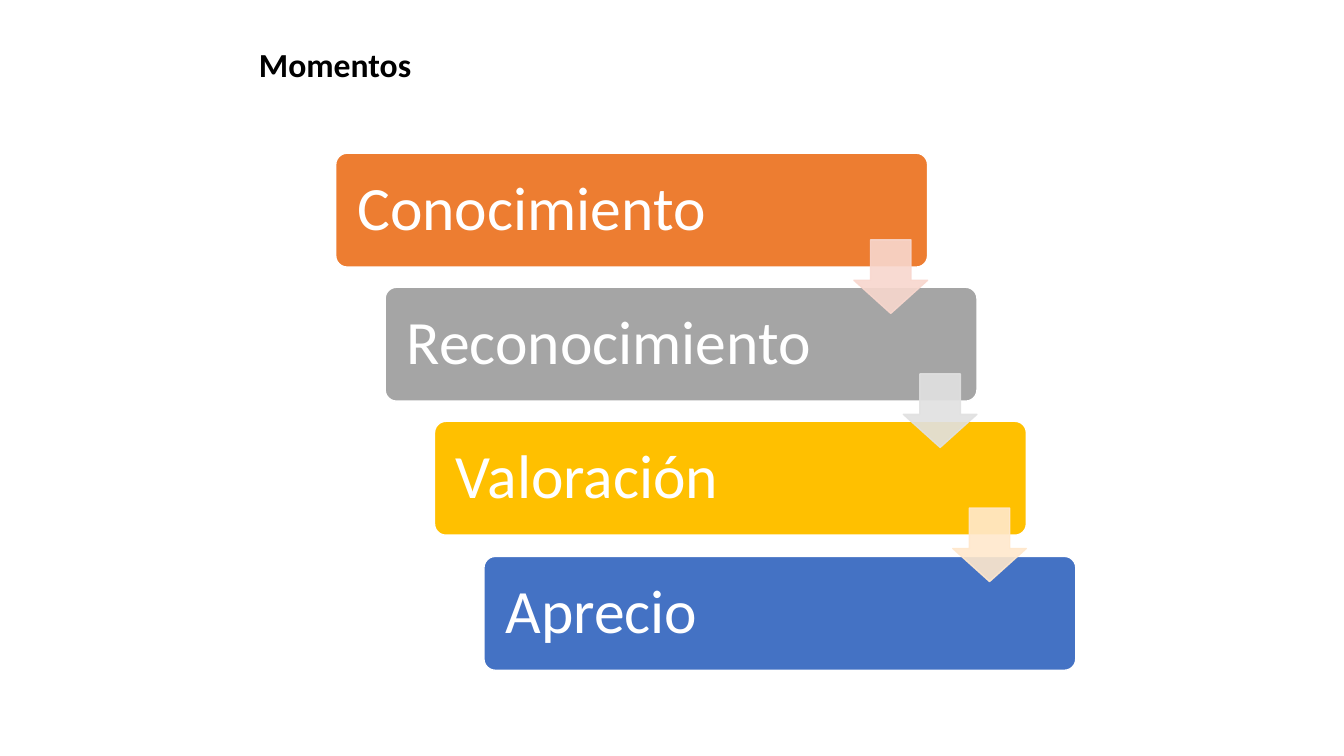
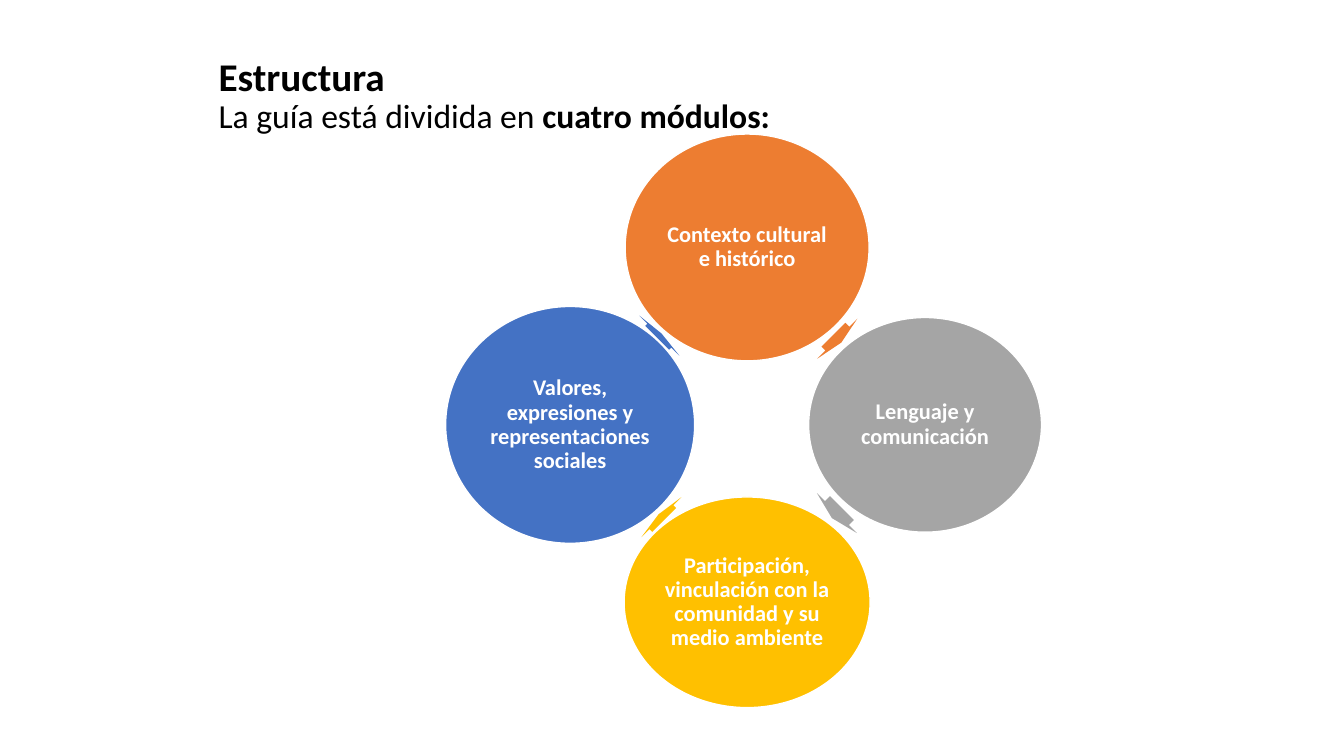
from lxml import etree
from pptx import Presentation
from pptx.dml.color import RGBColor
from pptx.enum.shapes import MSO_SHAPE
from pptx.enum.text import MSO_ANCHOR, PP_ALIGN
from pptx.oxml.ns import qn
from pptx.util import Pt

PX = 9144
FONT = "Calibri"

BLACK = RGBColor(0x00, 0x00, 0x00)
WHITE = RGBColor(0xFF, 0xFF, 0xFF)
ORANGE = RGBColor(0xED, 0x7D, 0x31)
GRAY = RGBColor(0xA5, 0xA5, 0xA5)
GOLD = RGBColor(0xFF, 0xC0, 0x00)
BLUE = RGBColor(0x44, 0x72, 0xC4)
PALE_ORANGE = RGBColor(0xF8, 0xD7, 0xCE)
PALE_GRAY = RGBColor(0xE1, 0xE1, 0xE1)
PALE_GOLD = RGBColor(0xFF, 0xE8, 0xCC)

ROUNDED = MSO_SHAPE.ROUNDED_RECTANGLE
ELLIPSE = MSO_SHAPE.OVAL
DOWN_ARROW = MSO_SHAPE.DOWN_ARROW
RIGHT_ARROW = MSO_SHAPE.RIGHT_ARROW
TOP, MIDDLE, BOTTOM = MSO_ANCHOR.TOP, MSO_ANCHOR.MIDDLE, MSO_ANCHOR.BOTTOM
LEFT, CENTER = PP_ALIGN.LEFT, PP_ALIGN.CENTER

MOMENTS = [
    ("Conocimiento", ORANGE),
    ("Reconocimiento", GRAY),
    ("Valoración", GOLD),
    ("Aprecio", BLUE),
]
STEP_ARROWS = [PALE_ORANGE, PALE_GRAY, PALE_GOLD]

RING_X, RING_Y, RING_RADIUS = 741, 421, 176
MODULES = [
    ("Contexto cultural e histórico", ORANGE, (0, -1), (242, 225), (825, 308, 11)),
    ("Lenguaje y comunicación", GRAY, (1, 0), (231, 213), (823, 481, 14)),
    ("Participación, vinculación con la comunidad y su medio ambiente",
     GOLD, (0, 1), (244, 209), (652, 485, 8)),
    ("Valores, expresiones y representaciones sociales",
     BLUE, (-1, 0), (247, 235), (651, 305, 6)),
]


def box(*lengths):
    return [length * PX for length in lengths]


def add_shape(slide, kind, bounds, color, line=None, adjustments=()):
    sp = slide.shapes.add_shape(kind, *box(*bounds))
    sp.shadow.inherit = False
    sp.fill.solid()
    sp.fill.fore_color.rgb = color
    if line is None:
        sp.line.fill.background()
    else:
        sp.line.color.rgb = line
        sp.line.width = Pt(1)
    for i, value in enumerate(adjustments):
        sp.adjustments[i] = value
    return sp


def set_opacity(sp, percent):
    for color in sp._element.spPr.iter(qn("a:srgbClr")):
        etree.SubElement(color, qn("a:alpha"), val=str(percent * 1000))


def set_label(sp, text, size, bold, align, inset):
    tf = sp.text_frame
    tf.word_wrap = True
    tf.vertical_anchor = MIDDLE
    tf.margin_left = tf.margin_right = inset * PX
    tf.margin_top = tf.margin_bottom = inset * PX
    p = tf.paragraphs[0]
    p.text = text
    p.alignment = align
    p.line_spacing = 0.9
    p.font.name = FONT
    p.font.size = Pt(size)
    p.font.bold = bold
    p.font.color.rgb = WHITE


def add_title(slide, bounds, lines, anchor=TOP, spacing=1.0):
    tf = slide.shapes.add_textbox(*box(*bounds)).text_frame
    tf.word_wrap = True
    tf.vertical_anchor = anchor
    p = tf.paragraphs[0]
    p.line_spacing = spacing
    p.font.name = FONT
    p.font.color.rgb = BLACK
    for i, runs in enumerate(lines):
        if i:
            p.add_line_break()
        for text, size, bold in runs:
            r = p.add_run()
            r.text = text
            r.font.size = Pt(size)
            r.font.bold = bold


def add_staircase(slide):
    corners = [(333 + 49 * i, 152 + 400 * i // 3) for i in range(len(MOMENTS))]
    for (x, y), (text, color) in zip(corners, MOMENTS):
        sp = add_shape(slide, ROUNDED, (x, y, 587, 113), color, WHITE, [0.1])
        set_label(sp, text, 44, False, LEFT, 18)
    for (x, y), color in zip(corners, STEP_ARROWS):
        sp = add_shape(slide, DOWN_ARROW, (x + 514, y + 86, 73, 73),
                       color, color, [0.55, 0.45])
        set_opacity(sp, 90)


def add_ring(slide):
    for i, (text, color, (dx, dy), (w, h), arrow) in enumerate(MODULES):
        x = RING_X + dx * RING_RADIUS - w // 2
        y = RING_Y + dy * RING_RADIUS - h // 2
        sp = add_shape(slide, ELLIPSE, (x, y, w, h), color, WHITE)
        set_label(sp, text, 16, True, CENTER, 2)
        arrow_x, arrow_y, arrow_w = arrow
        sp = add_shape(slide, RIGHT_ARROW, (arrow_x, arrow_y, arrow_w, 56),
                       color, adjustments=[0.6, 0.5])
        sp.rotation = 45 + 90 * i


def build_moments(slide):
    add_staircase(slide)
    add_title(slide, (247, 39, 189, 50), [[("Momentos", 24, True)]])


def build_structure(slide):
    add_ring(slide)
    add_title(slide, (207, 41, 861, 99), [
        [("Estructura", 28, True)],
        [("La guía está dividida en ", 24, False), ("cuatro módulos:", 24, True)],
    ], BOTTOM, 0.9)


def main():
    prs = Presentation()
    prs.slide_width, prs.slide_height = box(1333, 750)
    for build in (build_moments, build_structure):
        build(prs.slides.add_slide(prs.slide_layouts[6]))
    prs.save("out.pptx")


if __name__ == "__main__":
    main()
